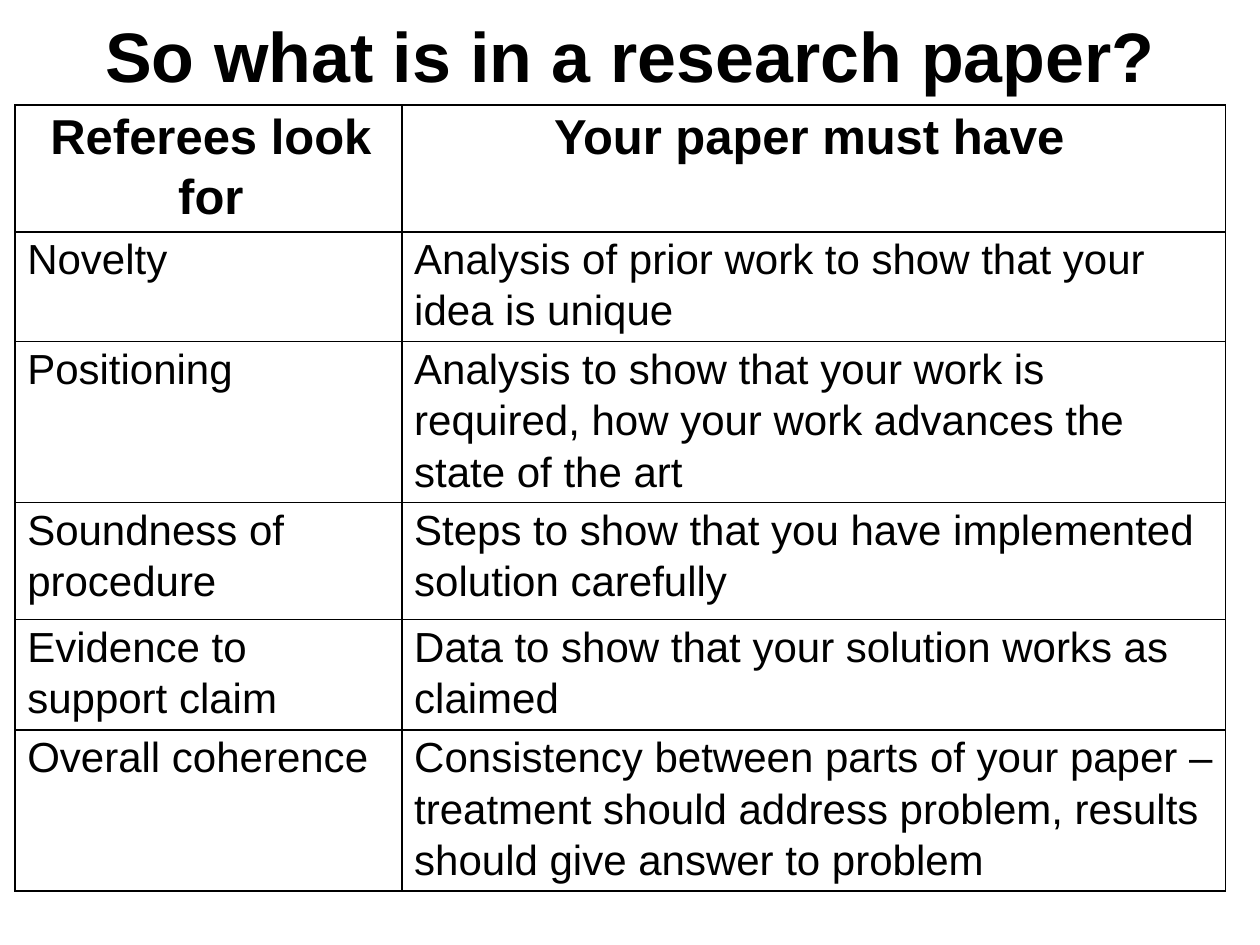
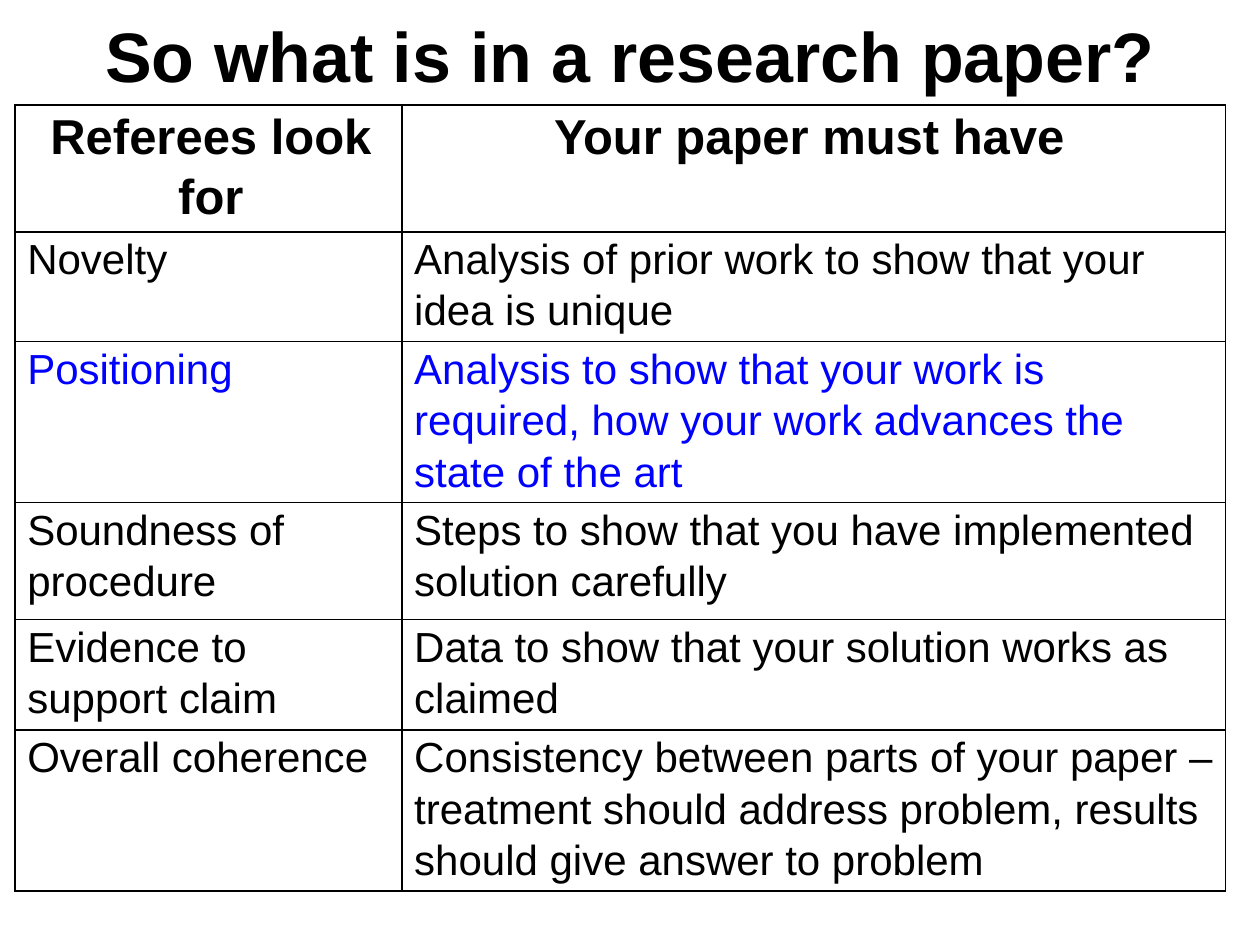
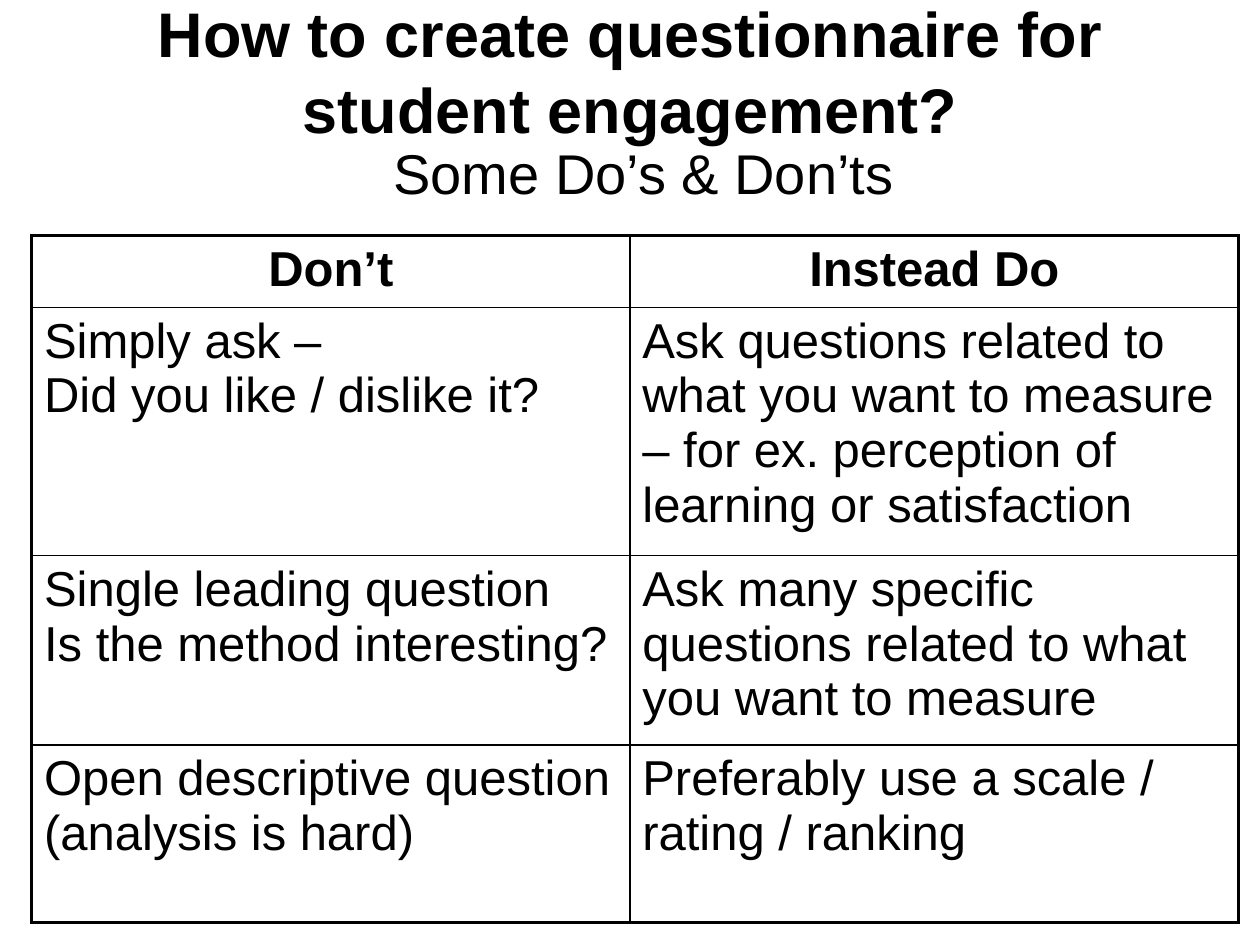
import pptx
import pptx.dml.color
import pptx.enum.text
import pptx.oxml.ns
import pptx.util
from lxml import etree

Cm, Pt = pptx.util.Cm, pptx.util.Pt
RGBColor = pptx.dml.color.RGBColor
CENTER = pptx.enum.text.PP_ALIGN.CENTER
MIDDLE = pptx.enum.text.MSO_ANCHOR.MIDDLE

FONT = "Arial"
BLACK = RGBColor(0x00, 0x00, 0x00)
BLUE = RGBColor(0x00, 0x00, 0xFF)
INNER_LINE = 1
TITLE_ONLY_LAYOUT = 5

PAPER_TITLE = "So what is in a research paper?"
PAPER_ROWS = [
    ("Referees look for", "Your paper must have "),
    ("Novelty", "Analysis of prior work to show that your idea is unique"),
    ("Positioning", "Analysis to show that your work is required, how your work "
                    "advances the state of the art"),
    ("Soundness of procedure",
     "Steps to show that you have implemented solution carefully"),
    ("Evidence to support claim", "Data to show that your solution works as claimed"),
    ("Overall coherence",
     "Consistency between parts of your paper – treatment should address problem, "
     "results should give answer to problem"),
]
PAPER_STYLE = dict(
    position=(0.3, 2.12), columns=(7.8, 16.6),
    heights=(2.55, 2.21, 3.24, 2.36, 2.23, 3.24),
    margins=(0.25, 0, 0.15, 0.13), body_size=24, line_spacing=1.1, outer_line=1)
POSITIONING_ROW = 2

SURVEY_TITLE = "How to create questionnaire for student engagement?"
SURVEY_SUBTITLE = "Some Do’s & Don’ts"
SURVEY_ROWS = [
    ("Don’t", "Instead Do"),
    ("Simply ask –\nDid you like / dislike it?",
     "Ask questions related to what you want to measure – for ex. perception of "
     "learning or satisfaction"),
    ("Single leading question\nIs the method interesting?",
     "Ask many specific questions related to what you want to measure"),
    ("Open descriptive question (analysis is hard)",
     "Preferably use a scale / rating / ranking"),
]
SURVEY_STYLE = dict(
    position=(0.64, 4.75), columns=(12.06, 12.27),
    heights=(1.41, 4.66, 3.58, 3.58),
    margins=(0.25, 0.13, 0.25, 0.13), body_size=28, line_spacing=1.0, outer_line=2.25)
HEADER_SIZE = 28


def format_text(text_frame, size, color=BLACK, bold=False, align=None, line_spacing=1.0):
    for paragraph in text_frame.paragraphs:
        paragraph.alignment = align
        paragraph.line_spacing = line_spacing
        paragraph.space_before = paragraph.space_after = Pt(0)
        for run in paragraph.runs:
            run.font.name = FONT
            run.font.size = Pt(size)
            run.font.bold = bold
            run.font.color.rgb = color


def set_margins(target, margins):
    (target.margin_left, target.margin_top,
     target.margin_right, target.margin_bottom) = map(Cm, margins)


def add_titled_slide(presentation, title, box, size):
    slide = presentation.slides.add_slide(presentation.slide_layouts[TITLE_ONLY_LAYOUT])
    shape = slide.shapes.title
    shape.left, shape.top, shape.width, shape.height = map(Cm, box)
    text_frame = shape.text_frame
    text_frame.text = title
    text_frame.word_wrap = True
    text_frame.auto_size = pptx.enum.text.MSO_AUTO_SIZE.NONE
    text_frame.vertical_anchor = MIDDLE
    set_margins(text_frame, (0.25, 0.13, 0.25, 0.13))
    format_text(text_frame, size, bold=True, align=CENTER)
    return slide


def add_subtitle(slide, text):
    text_frame = slide.shapes.add_textbox(Cm(0.64), Cm(2.54), Cm(24.34), Cm(1.7)).text_frame
    text_frame.text = text
    text_frame.word_wrap = True
    set_margins(text_frame, (0.58, 0.25, 0.25, 0.25))
    format_text(text_frame, 32, align=CENTER)


def set_borders(cell, widths):
    """Draw black lines on the cell; widths maps a:lnL, a:lnR, a:lnT, a:lnB to points."""
    properties = cell._tc.get_or_add_tcPr()
    for tag, width in widths.items():
        line = etree.SubElement(properties, pptx.oxml.ns.qn(tag), w=str(Pt(width)))
        fill = etree.SubElement(line, pptx.oxml.ns.qn("a:solidFill"))
        etree.SubElement(fill, pptx.oxml.ns.qn("a:srgbClr"), val=str(BLACK))


def add_ruled_table(slide, rows, style, highlighted_row=None):
    size = sum(style["columns"]), sum(style["heights"])
    table = slide.shapes.add_table(
        len(rows), len(rows[0]), *map(Cm, style["position"] + size)).table
    table.first_row = table.horz_banding = False
    for column, width in zip(table.columns, style["columns"]):
        column.width = Cm(width)
    for row, height in zip(table.rows, style["heights"]):
        row.height = Cm(height)

    last_row, last_column = len(rows) - 1, len(rows[0]) - 1
    for row_index, texts in enumerate(rows):
        is_header = row_index == 0
        for column_index, text in enumerate(texts):
            cell = table.cell(row_index, column_index)
            cell.text_frame.text = text
            set_margins(cell, style["margins"])
            format_text(
                cell.text_frame,
                HEADER_SIZE if is_header else style["body_size"],
                color=BLUE if row_index == highlighted_row else BLACK,
                bold=is_header,
                align=CENTER if is_header else None,
                line_spacing=style["line_spacing"])
            on_edge = {"a:lnL": column_index == 0, "a:lnR": column_index == last_column,
                       "a:lnT": is_header, "a:lnB": row_index == last_row}
            set_borders(cell, {tag: style["outer_line"] if edge else INNER_LINE
                               for tag, edge in on_edge.items()})
            cell.fill.background()


def main():
    presentation = pptx.Presentation()
    presentation.slide_width, presentation.slide_height = Cm(25.4), Cm(19.05)

    for highlighted_row in (None, POSITIONING_ROW):
        slide = add_titled_slide(presentation, PAPER_TITLE, (1.27, 0.12, 22.86, 1.95), 40)
        add_ruled_table(slide, PAPER_ROWS, PAPER_STYLE, highlighted_row)

    slide = add_titled_slide(presentation, SURVEY_TITLE, (0.64, 0.43, 24.13, 1.98), 36)
    add_subtitle(slide, SURVEY_SUBTITLE)
    add_ruled_table(slide, SURVEY_ROWS, SURVEY_STYLE)

    presentation.save("out.pptx")


if __name__ == "__main__":
    main()
